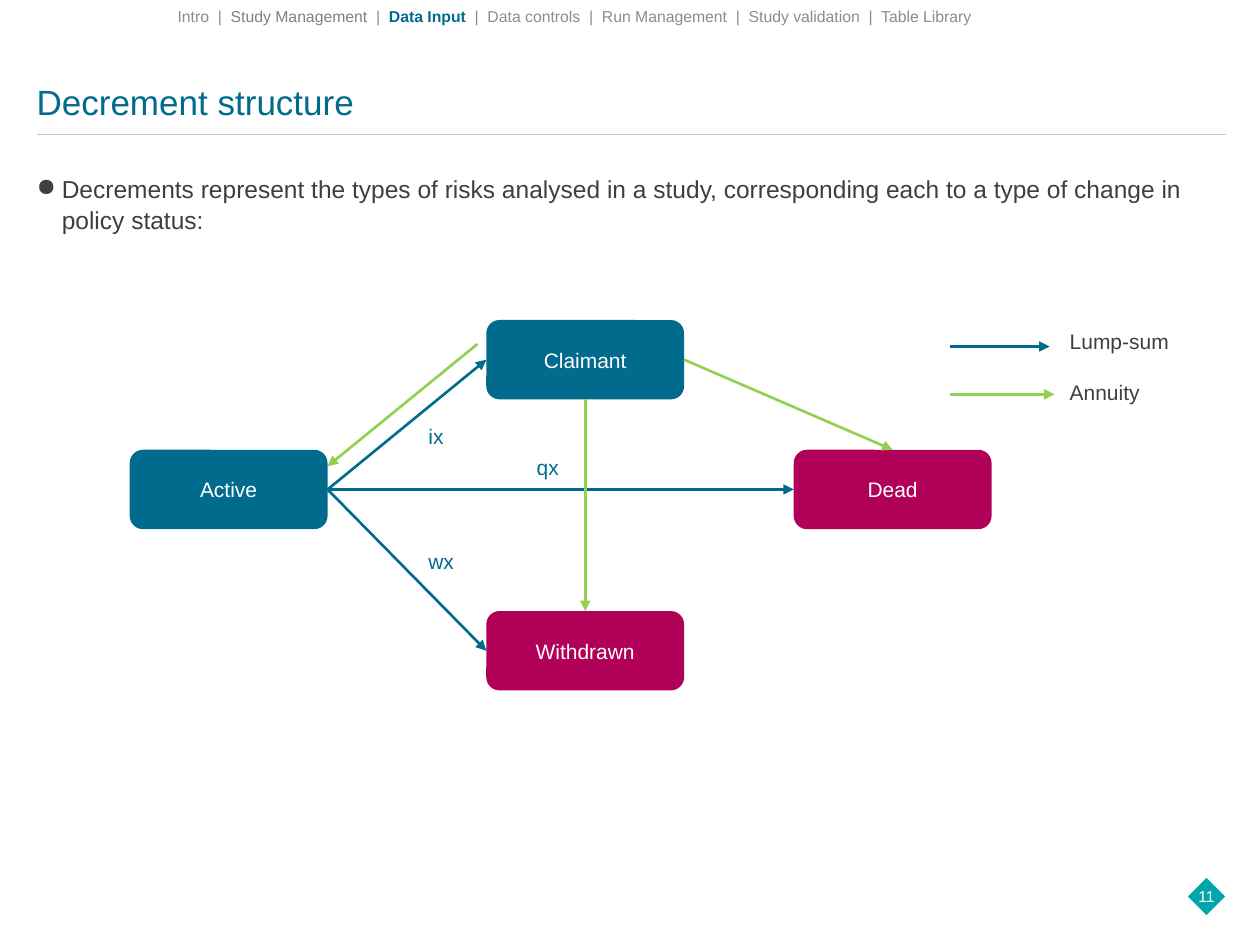
from dataclasses import dataclass

from lxml import etree
from pptx import Presentation
from pptx import util as u
from pptx.dml.color import RGBColor
from pptx.enum import shapes, text
from pptx.oxml import ns

Inches = u.Inches
TOP, LEFT, BOTTOM, RIGHT = range(4)  # connection sites of a rectangle


@dataclass(frozen=True)
class Theme:
    font: str = "Arial"
    blue: str = "006B8D"
    magenta: str = "B10058"
    green: str = "92D050"
    teal: str = "00A6AA"
    ink: str = "3F3F3F"
    rule: str = "C6C6C6"
    nav: str = "8C8C8C"
    nav_dark: str = "808080"
    white: str = "FFFFFF"
    title_size: int = 20
    body_size: int = 14
    label_size: int = 12
    small_size: int = 9
    arrow_width: float = 1.5


THEME = Theme()


def rgb(colour):
    return RGBColor.from_string(colour)


def box(left, top, width, height):
    return tuple(Inches(length) for length in (left, top, width, height))


def write(frame, paragraphs, size, colour, align=None, anchor=text.MSO_ANCHOR.TOP,
          wrap=True, line_spacing=None, gap=0):
    """Fill a frame; a paragraph is a string or a list of (text, colour, bold)."""
    frame.word_wrap = wrap
    frame.vertical_anchor = anchor
    frame.margin_left = frame.margin_right = frame.margin_top = frame.margin_bottom = 0
    for index, content in enumerate(paragraphs):
        paragraph = frame.add_paragraph() if index else frame.paragraphs[0]
        paragraph.alignment = align
        paragraph.line_spacing = line_spacing
        paragraph.space_before = u.Pt(gap if index else 0)
        runs = [(content, colour, False)] if isinstance(content, str) else content
        for words, run_colour, bold in runs:
            run = paragraph.add_run()
            run.text = words
            run.font.name = THEME.font
            run.font.size = u.Pt(size)
            run.font.bold = bold
            run.font.color.rgb = rgb(run_colour)


def add_text(slide, area, paragraphs, size, colour, **format_options):
    frame = slide.shapes.add_textbox(*area).text_frame
    write(frame, paragraphs, size, colour, **format_options)
    return frame


def add_block(slide, preset, area, fill):
    block = slide.shapes.add_shape(preset, *area)
    block.shadow.inherit = False
    block.fill.solid()
    block.fill.fore_color.rgb = rgb(fill)
    block.line.fill.background()
    return block


def add_line(slide, start, end, colour, width=THEME.arrow_width, arrow=True):
    """Each end is an (x, y) point in inches or a (shape, site) pair."""
    line = slide.shapes.add_connector(shapes.MSO_CONNECTOR.STRAIGHT, 0, 0, 0, 0)
    if isinstance(start[0], (int, float)):
        line.begin_x, line.begin_y = map(Inches, start)
    else:
        line.begin_connect(*start)
    if isinstance(end[0], (int, float)):
        line.end_x, line.end_y = map(Inches, end)
    else:
        line.end_connect(*end)
    line.line.color.rgb = rgb(colour)
    line.line.width = u.Pt(width)
    if arrow:
        etree.SubElement(line.line._get_or_add_ln(), ns.qn("a:tailEnd"), type="triangle")
    etree.SubElement(line._element.spPr, ns.qn("a:effectLst"))


def add_navigation(slide, area):
    add_text(slide, area, [[
        ("Intro  |  ", THEME.nav, False),
        ("Study Management  ", THEME.nav_dark, False),
        ("|  ", THEME.nav, False),
        ("Data Input  ", THEME.blue, True),
        ("|  Data controls  |  Run Management  |  Study validation  |  Table Library",
         THEME.nav, False),
    ]], THEME.small_size, THEME.nav)


def add_heading(slide, left, top, width, height):
    title = slide.shapes.title
    title.left, title.top, title.width, title.height = box(left, top, width, height)
    write(title.text_frame, ["Decrement structure"], THEME.title_size, THEME.blue,
          align=text.PP_ALIGN.LEFT, anchor=text.MSO_ANCHOR.BOTTOM, line_spacing=0.9)
    rule_y = top + height + 0.09
    add_line(slide, (left, rule_y), (left + width, rule_y), THEME.rule, 0.5, arrow=False)


def add_bullet(slide, area):
    frame = add_text(slide, area, [
        "Decrements represent the types of risks analysed in a study, "
        "corresponding each to a type of change in policy status:"
    ], THEME.body_size, THEME.ink, line_spacing=1.05)
    properties = frame.paragraphs[0]._p.get_or_add_pPr()
    properties.set("marL", str(Inches(0.2)))
    properties.set("indent", str(-Inches(0.2)))
    etree.SubElement(properties, ns.qn("a:buChar"), char="●")


def add_diagram(slide, left, top):
    # Policy states
    states = {}
    for name, dx, dy, fill in (
        ("Active", 0, 1.03, THEME.blue),
        ("Claimant", 2.83, 0, THEME.blue),
        ("Dead", 5.27, 1.03, THEME.magenta),
        ("Withdrawn", 2.83, 2.31, THEME.magenta),
    ):
        state = add_block(slide, shapes.MSO_SHAPE.ROUNDED_RECTANGLE,
                          box(left + dx, top + dy, 1.57, 0.63), fill)
        write(state.text_frame, [name], THEME.label_size, THEME.white,
              align=text.PP_ALIGN.CENTER, anchor=text.MSO_ANCHOR.MIDDLE)
        states[name] = state

    # Lump-sum transitions
    for target in ("Claimant", "Withdrawn", "Dead"):
        add_line(slide, (states["Active"], RIGHT), (states[target], LEFT), THEME.blue)

    # Annuity transitions
    add_line(slide, (left + 2.76, top + 0.19), (left + 1.57, top + 1.16), THEME.green)
    for site, target in ((RIGHT, "Dead"), (BOTTOM, "Withdrawn")):
        add_line(slide, (states["Claimant"], site), (states[target], TOP), THEME.green)

    # Transition rates
    for rate, dx, dy in (("ix", 2.37, 0.82), ("wx", 2.37, 1.81), ("qx", 3.23, 1.07)):
        add_text(slide, box(left + dx, top + dy, 0.26, 0.42), [rate],
                 THEME.label_size, THEME.blue, wrap=False)


def add_legend(slide, left, top):
    for length, dy, colour in ((0.79, 0.14, THEME.blue), (0.83, 0.52, THEME.green)):
        add_line(slide, (left, top + dy), (left + length, top + dy), colour)
    add_text(slide, box(left + 0.95, top, 1, 0.79), ["Lump-sum", "Annuity"],
             THEME.label_size, THEME.ink, wrap=False, gap=14.5)


def add_page_number(slide, left, top, side):
    diamond = add_block(slide, shapes.MSO_SHAPE.RECTANGLE, box(left, top, side, side), THEME.teal)
    diamond.rotation = 45
    add_text(slide, box(left - 0.09, top + 0.03, side + 0.18, 0.15), ["11"],
             THEME.small_size, THEME.white,
             align=text.PP_ALIGN.CENTER, anchor=text.MSO_ANCHOR.MIDDLE)


def main():
    deck = Presentation()
    deck.slide_width, deck.slide_height = Inches(10), Inches(7.5)
    slide = deck.slides.add_slide(deck.slide_layouts.get_by_name("Title Only"))
    add_heading(slide, 0.29, 0.54, 9.44, 0.44)
    add_page_number(slide, 9.47, 7.01, 0.21)
    add_bullet(slide, box(0.29, 1.37, 9.45, 5.28))
    add_diagram(slide, 1.03, 2.54)
    add_legend(slide, 7.54, 2.61)
    add_navigation(slide, box(1.41, 0.05, 6.43, 0.24))
    deck.save("out.pptx")


if __name__ == "__main__":
    main()
